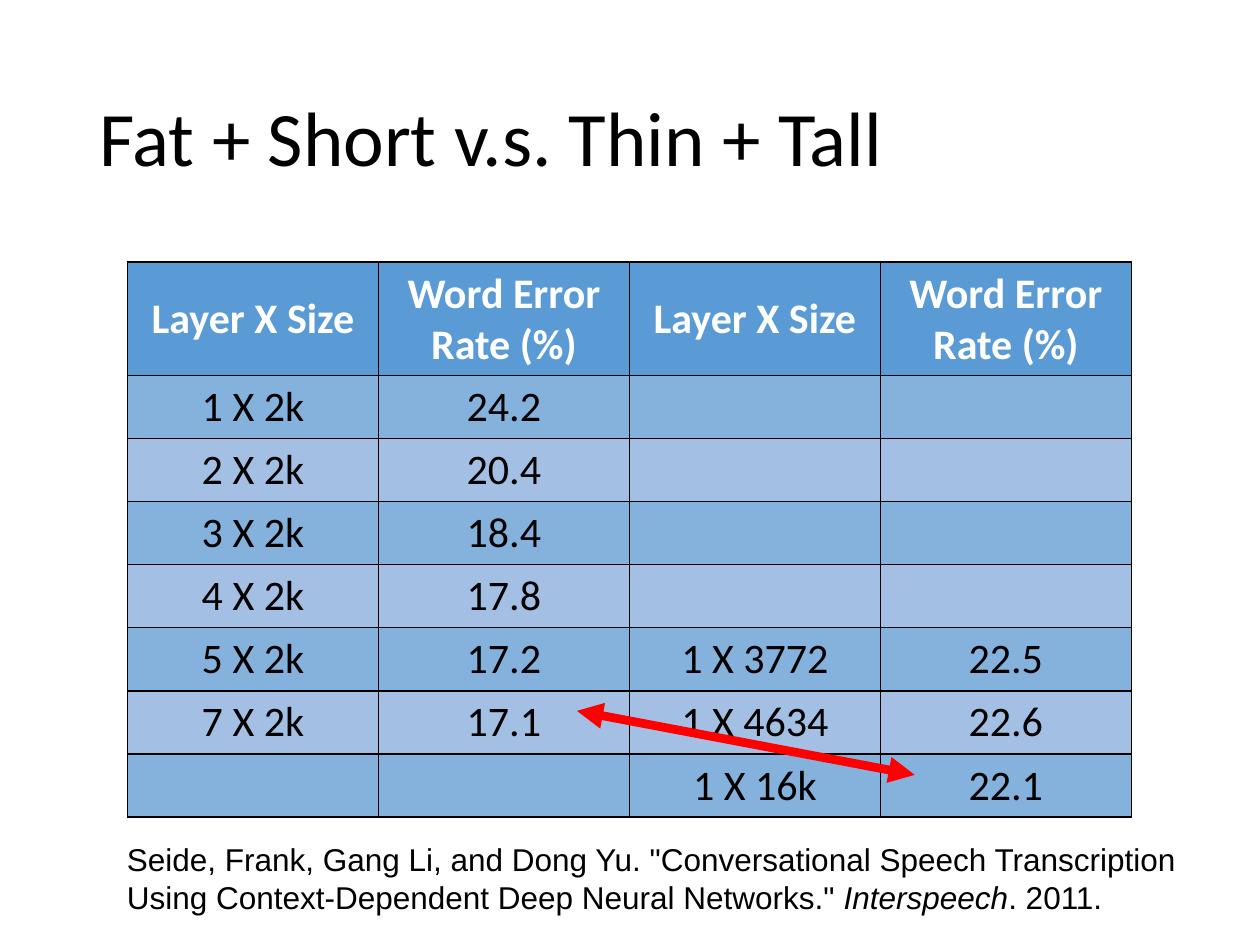
import dataclasses

import pptx
import pptx.dml.color
import pptx.enum.shapes
import pptx.enum.text
import pptx.oxml
import pptx.oxml.ns
import pptx.util
from pptx.util import Cm

BLACK, WHITE, RED = "000000", "FFFFFF", "FF0000"
HEADER_FILL = "5B9BD5"
BAND_FILLS = ("85B1DD", "A3C0E4")
ALIGN = pptx.enum.text.PP_ALIGN
ANCHOR = pptx.enum.text.MSO_ANCHOR


@dataclasses.dataclass
class Result:
    deep_layers: str = ""
    deep_error: str = ""
    wide_layers: str = ""
    wide_error: str = ""


HEADER = Result("Layer X Size", "Word Error Rate (%)",
                "Layer X Size", "Word Error Rate (%)")
RESULTS = [
    Result("1 X 2k", "24.2"),
    Result("2 X 2k", "20.4"),
    Result("3 X 2k", "18.4"),
    Result("4 X 2k", "17.8"),
    Result("5 X 2k", "17.2", "1 X 3772", "22.5"),
    Result("7 X 2k", "17.1", "1 X 4634", "22.6"),
    Result("", "", "1 X 16k", "22.1"),
]


def color(value: str) -> pptx.dml.color.RGBColor:
    return pptx.dml.color.RGBColor.from_string(value)


def add_span(para, text: str, *, size: float, font: str = "Calibri",
             fill: str = BLACK, bold: bool = False, italic: bool = False) -> None:
    span = para.add_run()
    span.text = text
    span.font.size = pptx.util.Pt(size)
    span.font.name = font
    span.font.bold = bold
    span.font.italic = italic
    span.font.color.rgb = color(fill)


def add_borders(cell) -> None:
    properties = cell._tc.get_or_add_tcPr()
    for side in ("lnL", "lnR", "lnT", "lnB"):
        properties.append(pptx.oxml.parse_xml(
            f'<a:{side} {pptx.oxml.ns.nsdecls("a")} w="12700">'
            f'<a:solidFill><a:srgbClr val="{BLACK}"/></a:solidFill></a:{side}>'))


def add_title(page, text: str) -> None:
    box = page.shapes.title
    box.left, box.top, box.width, box.height = Cm(1.75), Cm(1.02), Cm(21.9), Cm(3.68)
    box.text_frame.vertical_anchor = ANCHOR.MIDDLE
    para = box.text_frame.paragraphs[0]
    para.alignment = ALIGN.LEFT
    para.line_spacing = 0.9
    add_span(para, text, size=44)


def add_results(page, rows: list[Result]) -> None:
    columns = len(dataclasses.fields(Result))
    table = page.shapes.add_table(len(rows), columns, Cm(2.57), Cm(5.28),
                                  Cm(20.24), Cm(11.18)).table
    for column in table.columns:
        column.width = Cm(5.06)
    for index, result in enumerate(rows):
        is_header = index == 0
        table.rows[index].height = Cm(2.29 if is_header else 1.27)
        fill = HEADER_FILL if is_header else BAND_FILLS[(index - 1) % 2]
        for cell, text in zip(table.rows[index].cells, dataclasses.astuple(result)):
            add_borders(cell)
            cell.fill.solid()
            cell.fill.fore_color.rgb = color(fill)
            cell.vertical_anchor = ANCHOR.MIDDLE
            if text:
                para = cell.text_frame.paragraphs[0]
                para.alignment = ALIGN.CENTER
                add_span(para, text, size=24, bold=is_header,
                         fill=WHITE if is_header else BLACK)


def add_citation(page) -> None:
    box = page.shapes.add_textbox(Cm(2.31), Cm(16.81), Cm(21.77), Cm(1.8))
    box.text_frame.word_wrap = True
    para = box.text_frame.paragraphs[0]
    for text, italic in (
        ('Seide, Frank, Gang Li, and Dong Yu. "Conversational Speech Transcription '
         'Using Context-Dependent Deep Neural Networks." ', False),
        ("Interspeech", True),
        (". 2011.", False),
    ):
        add_span(para, text, size=18, font="Arial", italic=italic)


def add_double_arrow(page, start: tuple[float, float], end: tuple[float, float]) -> None:
    arrow = page.shapes.add_connector(pptx.enum.shapes.MSO_CONNECTOR.STRAIGHT,
                                      *map(Cm, start + end))
    arrow.line.color.rgb = color(RED)
    arrow.line.width = pptx.util.Pt(5)
    line = arrow.line._get_or_add_ln()
    namespace = pptx.oxml.ns.nsdecls("a")
    for tip in ("headEnd", "tailEnd"):
        line.append(pptx.oxml.parse_xml(f'<a:{tip} {namespace} type="triangle"/>'))
    arrow._element.spPr.append(pptx.oxml.parse_xml(f"<a:effectLst {namespace}/>"))


def main() -> None:
    deck = pptx.Presentation()
    deck.slide_width, deck.slide_height = Cm(25.4), Cm(19.05)
    page = deck.slides.add_slide(deck.slide_layouts.get_by_name("Title Only"))

    add_title(page, "Fat + Short v.s. Thin + Tall")
    add_citation(page)
    add_results(page, [HEADER, *RESULTS])
    # Compare the deepest network with the widest one
    add_double_arrow(page, (11.63, 14.33), (18.44, 15.62))

    deck.save("out.pptx")


if __name__ == "__main__":
    main()
